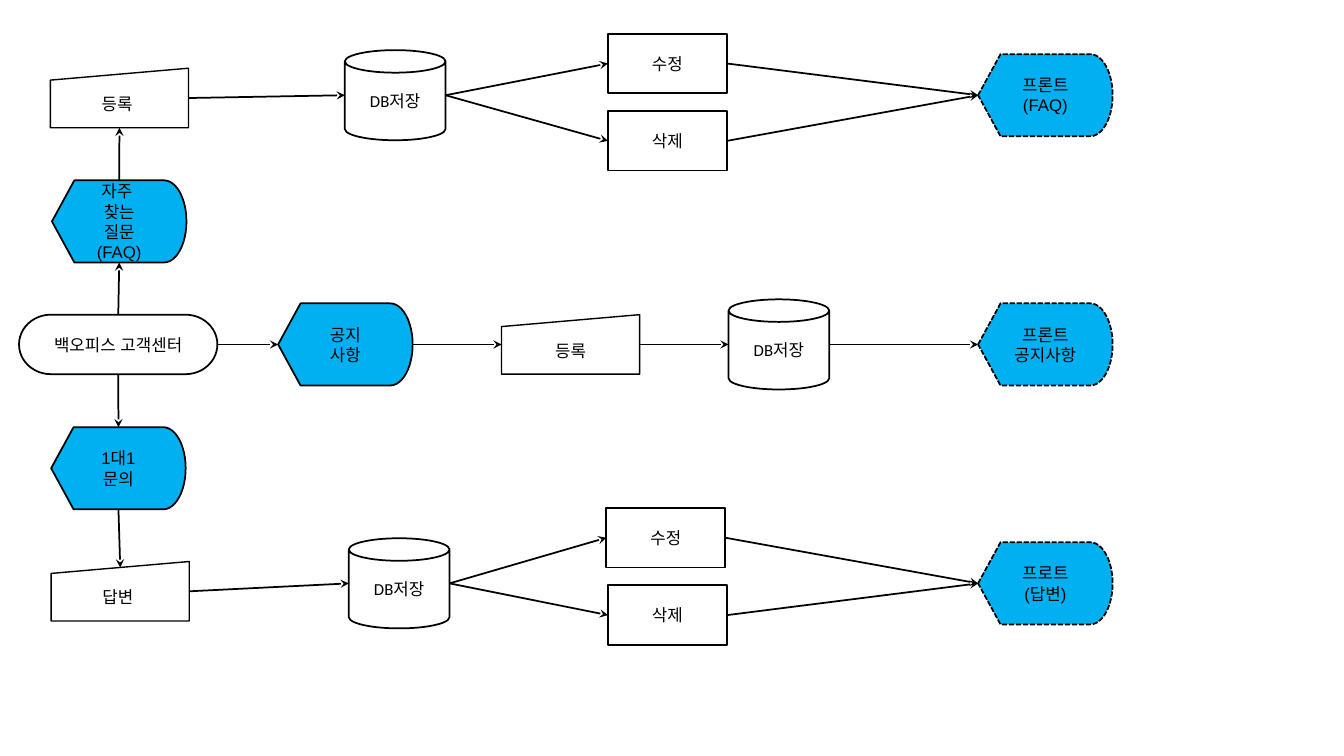
from dataclasses import dataclass

from lxml import etree
from pptx import Presentation
from pptx.dml.color import RGBColor
from pptx.enum.dml import MSO_LINE
from pptx.enum.lang import MSO_LANGUAGE_ID
from pptx.enum.shapes import MSO_CONNECTOR, MSO_SHAPE
from pptx.enum.text import MSO_ANCHOR, PP_ALIGN
from pptx.oxml.ns import qn
from pptx.shapes.autoshape import Shape
from pptx.shapes.shapetree import SlideShapes
from pptx.util import Cm, Pt

TERMINATOR = MSO_SHAPE.FLOWCHART_TERMINATOR
DISPLAY = MSO_SHAPE.FLOWCHART_DISPLAY
MANUAL_INPUT = MSO_SHAPE.FLOWCHART_MANUAL_INPUT
PROCESS = MSO_SHAPE.FLOWCHART_PROCESS
DATABASE = MSO_SHAPE.CAN
STRAIGHT = MSO_CONNECTOR.STRAIGHT
SYS_DASH = MSO_LINE.SQUARE_DOT
CENTER = PP_ALIGN.CENTER
MIDDLE = MSO_ANCHOR.MIDDLE
KOREAN = MSO_LANGUAGE_ID.KOREAN

COLORS = {"ink": "000000", "paper": "FFFFFF", "screen": "00B0F0"}


@dataclass(frozen=True)
class Style:
    """Look shared by all steps of one kind; sizes in cm, line in points."""
    preset: MSO_SHAPE
    width: float
    height: float
    fill: str = "paper"
    line: float = 1.25
    font: str = "Arial"
    dashed: bool = False
    top_slope: float = 0  # drop of the top edge at its middle, share of height


ENTRY = Style(TERMINATOR, 5, 1.5)
MENU = Style(DISPLAY, 3.39, 2.07, fill="screen")
FRONT = Style(DISPLAY, 3.39, 2.07, fill="screen", dashed=True)
INPUT = Style(MANUAL_INPUT, 3.48, 1.5, line=1, top_slope=0.1)
ACTION = Style(PROCESS, 3, 1.5, font="Calibri")
STORE = Style(DATABASE, 2.54, 2.27, font="Calibri")


@dataclass(frozen=True)
class Step:
    """A flow step placed by its left edge and vertical middle, in cm."""
    style: Style
    left: float
    middle: float
    text: str

    def anchor(self, side: str) -> tuple[float, float]:
        """Point where an arrow meets the given side."""
        width, height = self.style.width, self.style.height
        top = self.middle - height / 2
        return {
            "left": (self.left, self.middle),
            "right": (self.left + width, self.middle),
            "top": (self.left + width / 2, top + height * self.style.top_slope),
            "bottom": (self.left + width / 2, top + height),
        }[side]


FAQ_ROW, NOTICE_ROW, INQUIRY_ROW = 2.4, 8.68, 14.7
ACTION_LEFT, FRONT_LEFT = 15.32, 24.65

STEPS = {
    "entry": Step(ENTRY, 0.48, NOTICE_ROW, "백오피스 고객센터"),
    "faq": Step(MENU, 1.31, 5.58, "자주 \n찾는\n질문(FAQ)"),
    "notice": Step(MENU, 7.01, NOTICE_ROW, "공지\n사항"),
    "inquiry": Step(MENU, 1.29, 11.8, "1대1\n문의"),
    "faq_input": Step(INPUT, 1.27, 2.47, "등록 "),
    "notice_input": Step(INPUT, 12.64, NOTICE_ROW, "등록"),
    "inquiry_input": Step(INPUT, 1.29, 14.9, "답변 "),
    "faq_store": Step(STORE, 8.69, FAQ_ROW, "DB저장"),
    "notice_store": Step(STORE, 18.36, NOTICE_ROW, "DB저장"),
    "inquiry_store": Step(STORE, 8.79, INQUIRY_ROW, "DB저장"),
    "faq_edit": Step(ACTION, ACTION_LEFT, 1.6, "수정"),
    "faq_delete": Step(ACTION, ACTION_LEFT, 3.55, "삭제"),
    "inquiry_edit": Step(ACTION, 15.28, 13.55, "수정"),
    "inquiry_delete": Step(ACTION, ACTION_LEFT, 15.5, "삭제"),
    "faq_front": Step(FRONT, FRONT_LEFT, FAQ_ROW, "프론트(FAQ)"),
    "notice_front": Step(FRONT, FRONT_LEFT, NOTICE_ROW, "프론트\n공지사항"),
    "inquiry_front": Step(FRONT, FRONT_LEFT, INQUIRY_ROW, "프로트\n(답변)"),
}

UPWARD = [("entry", "faq"), ("faq", "faq_input")]
DOWNWARD = [("entry", "inquiry"), ("inquiry", "inquiry_input")]
RIGHTWARD = [
    ("entry", "notice"),
    ("notice", "notice_input"),
    ("notice_input", "notice_store"),
    ("notice_store", "notice_front"),
]
for topic in ("faq", "inquiry"):
    RIGHTWARD.append((f"{topic}_input", f"{topic}_store"))
    for action in ("edit", "delete"):
        RIGHTWARD.append((f"{topic}_store", f"{topic}_{action}"))
        RIGHTWARD.append((f"{topic}_{action}", f"{topic}_front"))

ROUTES = [
    (UPWARD, "top", "bottom"),
    (DOWNWARD, "bottom", "top"),
    (RIGHTWARD, "right", "left"),
]


def rgb(name: str) -> RGBColor:
    return RGBColor.from_string(COLORS[name])


def write_text(shape: Shape, text: str, *, font: str, size: float = 12,
               color: str = "ink") -> None:
    frame = shape.text_frame
    frame.word_wrap = True
    frame.vertical_anchor = MIDDLE
    frame.text = text
    for paragraph in frame.paragraphs:
        paragraph.alignment = CENTER
        for run in paragraph.runs:
            run.font.name = font
            run.font.size = Pt(size)
            run.font.color.rgb = rgb(color)
            run.font.language_id = KOREAN


def draw_step(shapes: SlideShapes, step: Step) -> None:
    style = step.style
    shape = shapes.add_shape(
        style.preset, Cm(step.left), Cm(step.middle - style.height / 2),
        Cm(style.width), Cm(style.height))
    shape.shadow.inherit = False
    shape.fill.solid()
    shape.fill.fore_color.rgb = rgb(style.fill)
    shape.line.color.rgb = rgb("ink")
    shape.line.width = Pt(style.line)
    if style.dashed:
        shape.line.dash_style = SYS_DASH
    write_text(shape, step.text, font=style.font)


def draw_arrow(shapes: SlideShapes, start: tuple[float, float],
               end: tuple[float, float]) -> None:
    arrow = shapes.add_connector(
        STRAIGHT, *(Cm(length) for length in (*start, *end)))
    arrow.line.color.rgb = rgb("ink")
    arrow.line.width = Pt(1.25)
    outline = arrow.line._get_or_add_ln()
    etree.SubElement(outline, qn("a:tailEnd"), type="stealth")
    etree.SubElement(arrow._element.spPr, qn("a:effectLst"))


def main() -> None:
    prs = Presentation()
    prs.slide_width, prs.slide_height = Cm(33.87), Cm(19.05)
    shapes = prs.slides.add_slide(prs.slide_layouts[6]).shapes
    for step in STEPS.values():
        draw_step(shapes, step)
    for links, exit_side, entry_side in ROUTES:
        for source, target in links:
            draw_arrow(shapes, STEPS[source].anchor(exit_side),
                       STEPS[target].anchor(entry_side))
    prs.save("out.pptx")


if __name__ == "__main__":
    main()
